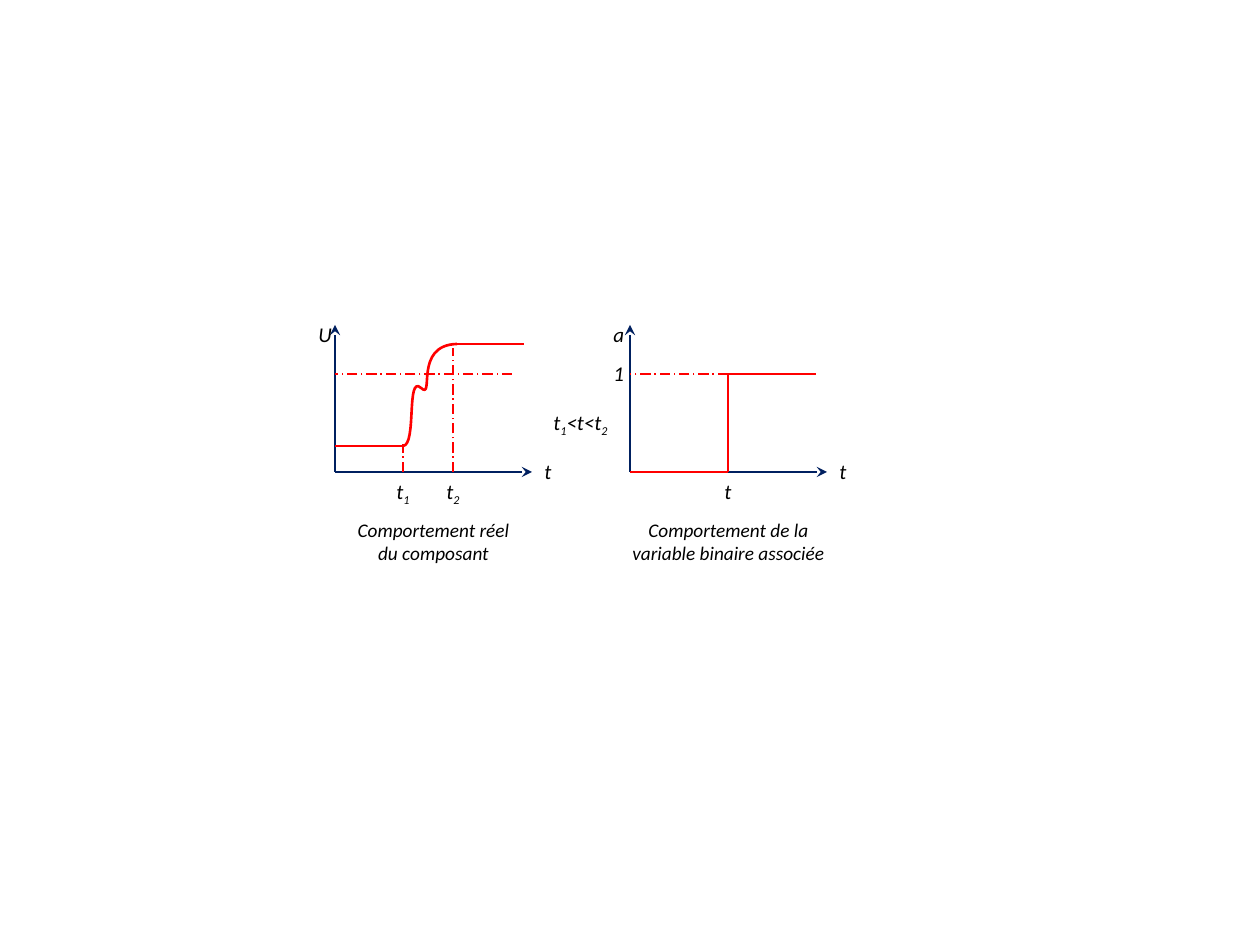
from dataclasses import dataclass

from lxml.etree import SubElement
from pptx import Presentation
from pptx.dml.color import RGBColor
from pptx.enum.dml import MSO_LINE as Dash
from pptx.enum.shapes import MSO_CONNECTOR as Connector
from pptx.enum.text import MSO_AUTO_SIZE as AutoSize, PP_ALIGN as Align
from pptx.oxml.ns import qn
from pptx.util import Pt

EMU_PER_PX = 914400 / 126


def px(length):
    return round(length * EMU_PER_PX)


@dataclass(frozen=True)
class Theme:
    font: str = "Calibri"
    axis: RGBColor = RGBColor(0x00, 0x20, 0x60)
    signal: RGBColor = RGBColor(0xFF, 0x00, 0x00)
    text: RGBColor = RGBColor(0x00, 0x00, 0x00)
    label_size: float = 12
    caption_size: float = 11
    thick: float = 1.5
    thin: float = 0.75


class Diagram:
    def __init__(self, slide, theme):
        self.slide = slide
        self.theme = theme

    def line(self, start, end, color, width):
        points = [px(value) for value in (*start, *end)]
        connector = self.slide.shapes.add_connector(Connector.STRAIGHT, *points)
        connector.line.color.rgb = color
        connector.line.width = Pt(width)
        SubElement(connector._element.spPr, qn("a:effectLst"))
        return connector

    def signal(self, start, end):
        self.line(start, end, self.theme.signal, self.theme.thick)

    def guide(self, start, end):
        connector = self.line(start, end, self.theme.signal, self.theme.thin)
        connector.line.dash_style = Dash.LONG_DASH_DOT

    def arrow(self, start, end):
        connector = self.line(start, end, self.theme.axis, self.theme.thick)
        SubElement(connector.line._get_or_add_ln(), qn("a:tailEnd"), type="stealth")

    def curve(self, start, *controls):
        builder = self.slide.shapes.build_freeform(*start, scale=EMU_PER_PX)
        builder.add_line_segments(controls, close=False)
        shape = builder.convert_to_shape()
        shape.shadow.inherit = False
        shape.fill.background()
        shape.line.color.rgb = self.theme.signal
        shape.line.width = Pt(self.theme.thick)
        outline = next(shape._element.iter(qn("a:path")))
        segments = outline.findall(qn("a:lnTo"))
        for index in range(0, len(segments), 3):
            bezier = SubElement(outline, qn("a:cubicBezTo"))
            for segment in segments[index:index + 3]:
                bezier.append(segment[0])
                outline.remove(segment)

    def text(self, left, top, width, height, parts, size):
        box = self.slide.shapes.add_textbox(px(left), px(top), px(width), px(height))
        frame = box.text_frame
        frame.word_wrap = True
        frame.auto_size = AutoSize.SHAPE_TO_FIT_TEXT
        paragraph = frame.paragraphs[0]
        paragraph.alignment = Align.CENTER
        for index, part in enumerate(parts):
            run = paragraph.add_run()
            run.text = part
            run.font.name = self.theme.font
            run.font.size = Pt(size)
            run.font.italic = True
            run.font.color.rgb = self.theme.text
            if index % 2:
                run.font._element.set("baseline", "-25000")

    def label(self, left, top, *parts, width=29):
        self.text(left, top, width, 38, parts, self.theme.label_size)

    def tick(self, center, *parts):
        self.label(center - 20, 472, *parts, width=40)

    def caption(self, left, width, wording):
        self.text(left, 512, width, 59, [wording], self.theme.caption_size)

    def axes(self, origin, name):
        x, y = origin
        self.arrow(origin, (x, y - 147))
        self.arrow(origin, (x + 197, y))
        self.label(x - 29, y - 157, name)
        self.label(x + 197, y - 20, "t")


def draw_component(diagram, origin):
    x, base = origin
    rise, settled, low, high, threshold = 403, 453, 446, 344, 374
    diagram.axes(origin, "U")
    diagram.curve((rise, low), (417, 445), (406, 374), (421, 388),
                  (435, 401), (413, 345), (457, high))
    diagram.signal((rise, low), (x, low))
    diagram.signal((524, high), (455, high))
    diagram.guide((rise, base), (rise, 444))
    diagram.guide((settled, base), (settled, 348))
    diagram.guide((512, threshold), (x, threshold))
    diagram.tick(rise, "t", "1")
    diagram.tick(settled, "t", "2")
    diagram.caption(x, 197, "Comportement réel du composant")


def draw_variable(diagram, origin):
    x, base = origin
    switch, high = 728, 374
    diagram.axes(origin, "a")
    diagram.signal((switch, base), origin)
    diagram.signal((816, high), (switch, high))
    diagram.signal((switch, high), (switch, base))
    diagram.guide((switch, high), (x, high))
    diagram.tick(switch, "t")
    diagram.label(x - 29, 354, "1")
    diagram.label(512, 403, "t", "1", "<t<t", "2", width=137)
    diagram.caption(615, 227, "Comportement de la variable binaire associée")


def main():
    presentation = Presentation()
    presentation.slide_width = px(1260)
    presentation.slide_height = px(945)
    slide = presentation.slides.add_slide(presentation.slide_layouts[6])
    diagram = Diagram(slide, Theme())
    draw_component(diagram, (335, 472))
    draw_variable(diagram, (630, 472))
    presentation.save("out.pptx")


if __name__ == "__main__":
    main()
